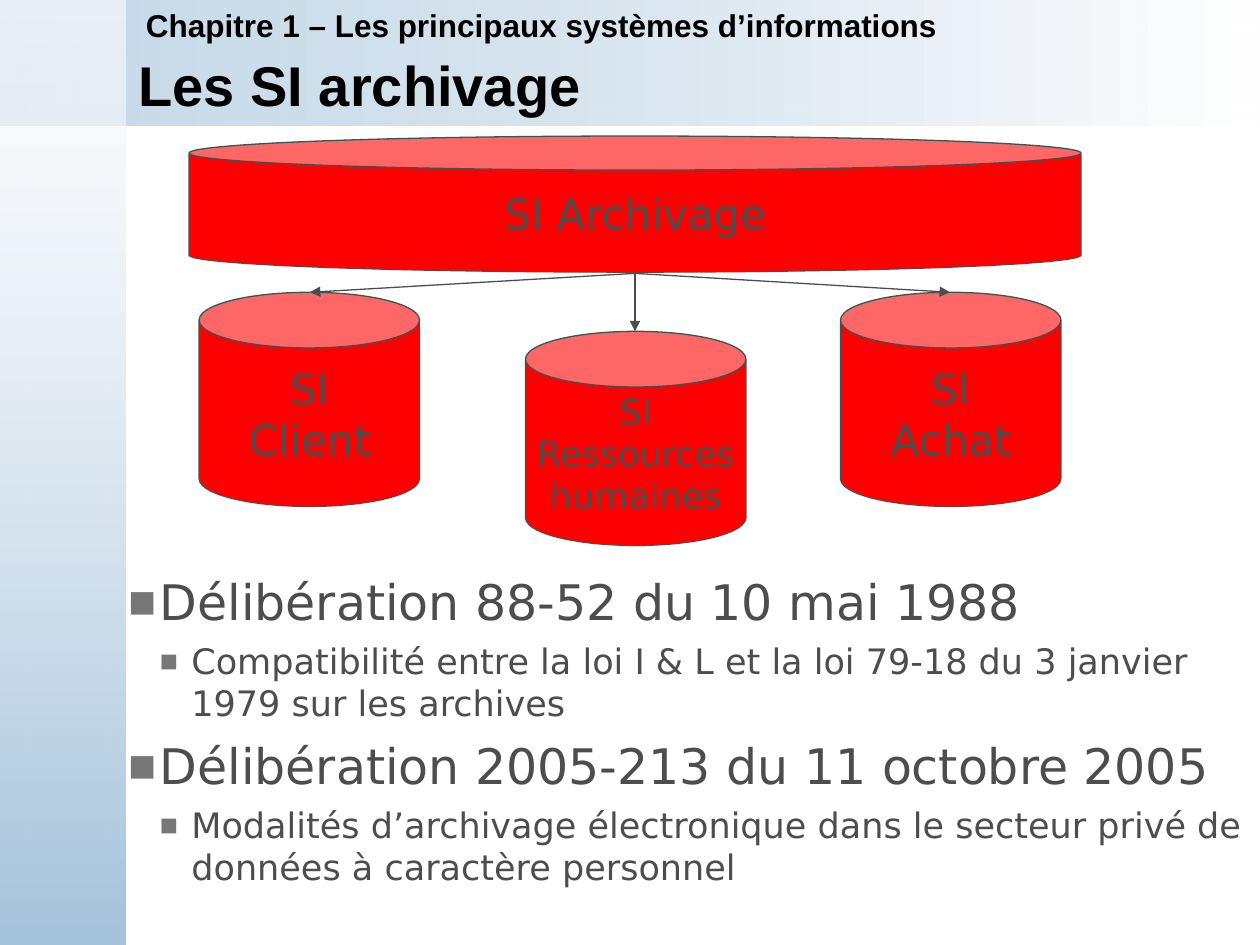
from lxml import etree
from pptx import Presentation
from pptx import util as u
from pptx.dml.color import RGBColor
from pptx.enum import shapes, text
from pptx.oxml import parse_xml
from pptx.oxml.ns import nsdecls, qn

Inches, Pt = u.Inches, u.Pt
BLACK = RGBColor(0x00, 0x00, 0x00)
GREY = RGBColor(0x4D, 0x4D, 0x4D)
RED = RGBColor(0xFF, 0x00, 0x00)
BULLET_GREY = RGBColor(0x77, 0x77, 0x77)
PALE_BLUE = RGBColor(0xA5, 0xC3, 0xDB)
WHITE = RGBColor(0xFF, 0xFF, 0xFF)


def set_font(para, name, size, color, bold=False):
    para.font.name = name
    para.font.size = Pt(size)
    para.font.color.rgb = color
    para.font.bold = bold


deck = Presentation()
deck.slide_width, deck.slide_height = Inches(10), Inches(7.5)
page = deck.slides.add_slide(deck.slide_layouts[5])

# Gradient bands: width, height, start colour, its opacity in %, end colour, angle
bands = [
    (10, 1, PALE_BLUE, 62, WHITE, 0),
    (1, 7.5, WHITE, 59, PALE_BLUE, 90),
]
for width, height, start, opacity, end, angle in bands:
    band = page.shapes.add_shape(shapes.MSO_SHAPE.RECTANGLE, 0, 0,
                                 Inches(width), Inches(height))
    band.shadow.inherit = False
    band.line.fill.background()
    gradient = parse_xml(
        f'<a:gradFill {nsdecls("a")} rotWithShape="1"><a:gsLst>'
        f'<a:gs pos="0"><a:srgbClr val="{start}"><a:alpha val="{opacity * 1000}"/></a:srgbClr></a:gs>'
        f'<a:gs pos="100000"><a:srgbClr val="{end}"/></a:gs>'
        f'</a:gsLst><a:lin ang="{angle * 60000}" scaled="0"/></a:gradFill>')
    band._element.spPr.find(qn("a:prstGeom")).addnext(gradient)

# Title, brought in front of the bands
title = page.shapes.title
page.shapes._spTree.append(title._element)
title.left, title.top = Inches(1), Inches(0.42)
title.width, title.height = Inches(9), Inches(0.49)
title.text_frame.text = "Les SI archivage"
title.text_frame.auto_size = text.MSO_AUTO_SIZE.NONE
title.text_frame.vertical_anchor = text.MSO_ANCHOR.MIDDLE
title.text_frame.paragraphs[0].alignment = text.PP_ALIGN.LEFT
set_font(title.text_frame.paragraphs[0], "Arial", 32, BLACK, bold=True)

# Chapter line
chapter = page.shapes.add_textbox(Inches(1.06), 0, Inches(8.94), Inches(0.4))
chapter.text_frame.word_wrap = True
chapter.text_frame.text = "Chapitre 1 – Les principaux systèmes d’informations"
set_font(chapter.text_frame.paragraphs[0], "Arial", 18, BLACK, bold=True)

# Databases: left, top, width, height, rim, text size, label
databases = [
    (1.5, 1.08, 7.08, 1.08, 0.25, 24, "SI Archivage"),
    (4.17, 2.63, 1.75, 1.7, 0.26, 20, "SI\nRessources\nhumaines"),
    (1.58, 2.32, 1.75, 1.7, 0.26, 24, "SI\nClient"),
    (6.67, 2.32, 1.75, 1.7, 0.26, 24, "SI\nAchat"),
]
for left, top, width, height, rim, size, label in databases:
    can = page.shapes.add_shape(shapes.MSO_SHAPE.CAN, Inches(left), Inches(top),
                                Inches(width), Inches(height))
    can.adjustments[0] = rim
    can.shadow.inherit = False
    can.fill.solid()
    can.fill.fore_color.rgb = RED
    can.line.color.rgb = GREY
    can.line.width = Pt(0.75)
    can.text_frame.text = label
    can.text_frame.word_wrap = False
    can.text_frame.vertical_anchor = text.MSO_ANCHOR.MIDDLE
    for para in can.text_frame.paragraphs:
        para.alignment = text.PP_ALIGN.CENTER
        set_font(para, "DejaVu Sans", size, GREY)

# Arrows from the archive to each database
for end_x, end_y in [(2.46, 2.32), (5.04, 2.63), (7.54, 2.32)]:
    arrow = page.shapes.add_connector(shapes.MSO_CONNECTOR.STRAIGHT, Inches(5.04),
                                      Inches(2.17), Inches(end_x), Inches(end_y))
    arrow.line.color.rgb = GREY
    arrow.line.width = Pt(0.75)
    etree.SubElement(arrow.line._get_or_add_ln(), qn("a:tailEnd"), type="triangle")
    etree.SubElement(arrow._element.spPr, qn("a:effectLst"))

# Bulleted text: level, wording
points = [
    (0, "Délibération 88-52 du 10 mai 1988"),
    (1, "Compatibilité entre la loi I & L et la loi 79-18 du 3 janvier 1979 sur les archives"),
    (0, "Délibération 2005-213 du 11 octobre 2005"),
    (1, "Modalités d’archivage électronique dans le secteur privé de données à caractère personnel"),
]
body = page.shapes.add_textbox(Inches(0.92), Inches(4.49), Inches(9.08), Inches(2.59))
body.text_frame.word_wrap = True
body.text_frame.text = "\n".join(wording for level, wording in points)
for index, (level, wording) in enumerate(points):
    para = body.text_frame.paragraphs[index]
    para.level = level
    if index:
        para.space_before = Pt((7, 5)[level])
    props = para._p.get_or_add_pPr()
    props.set("marL", str(Inches(0.25 * (level + 1))))
    props.set("indent", str(-Inches(0.25)))
    color = etree.SubElement(props, qn("a:buClr"))
    etree.SubElement(color, qn("a:srgbClr"), val=str(BULLET_GREY))
    etree.SubElement(props, qn("a:buSzPct"), val=("60000", "55000")[level])
    etree.SubElement(props, qn("a:buFont"), typeface="DejaVu Sans")
    etree.SubElement(props, qn("a:buChar"), char="■")
    set_font(para, "DejaVu Sans", (28, 20)[level], GREY)

deck.save("out.pptx")
